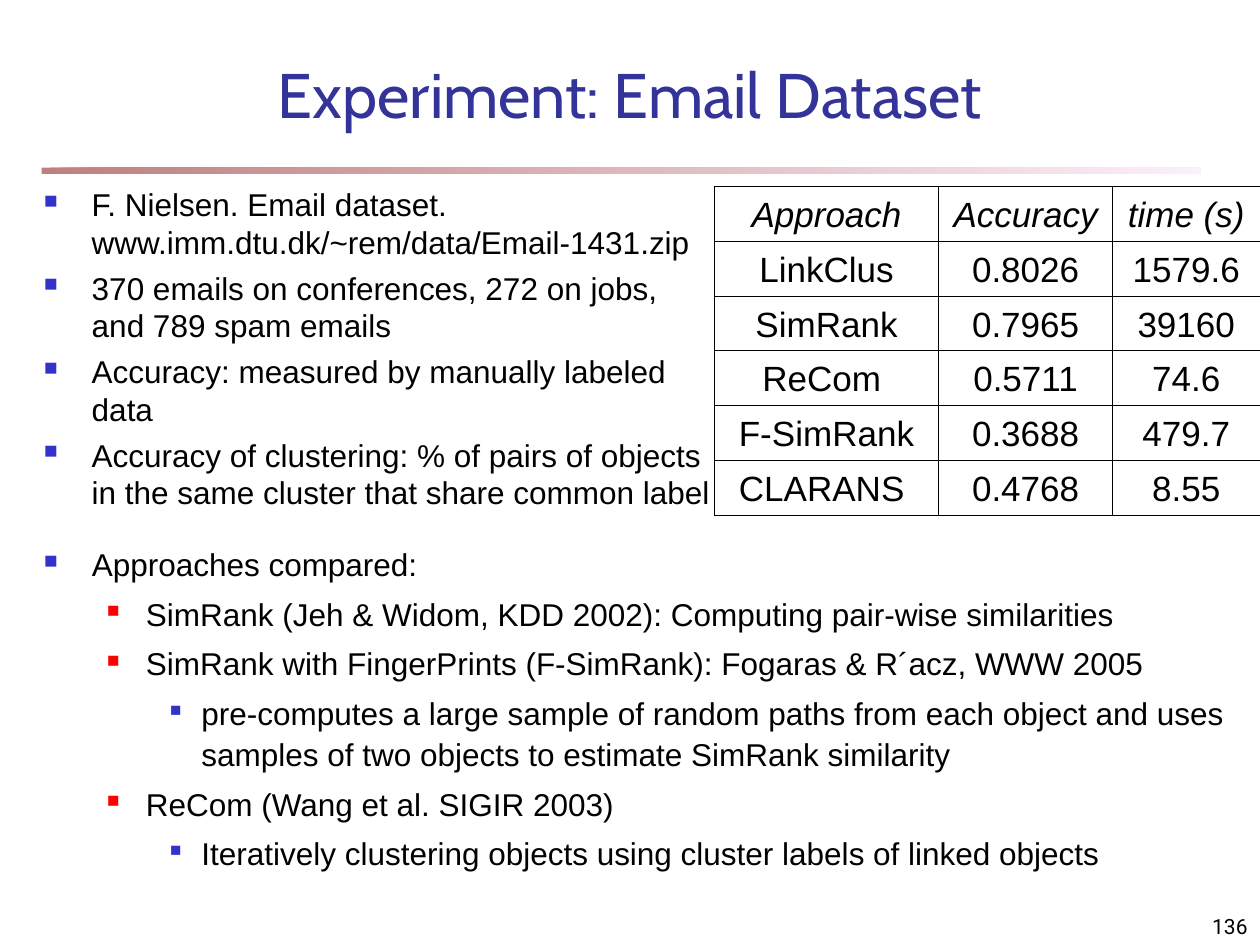
from lxml import etree
from pptx import Presentation
from pptx.dml.color import RGBColor
from pptx.enum.shapes import MSO_SHAPE
from pptx.enum.text import MSO_ANCHOR, PP_ALIGN
from pptx.oxml import parse_xml
from pptx.oxml.ns import nsdecls, qn
from pptx.util import Inches, Pt

CENTER, RIGHT = PP_ALIGN.CENTER, PP_ALIGN.RIGHT
TOP, BOTTOM = MSO_ANCHOR.TOP, MSO_ANCHOR.BOTTOM
RECT = MSO_SHAPE.RECTANGLE

TITLE = "Experiment: Email Dataset"
PAGE = "136"
DATASET = [
    (0, "F. Nielsen. Email dataset. www.imm.dtu.dk/~rem/data/Email-1431.zip"),
    (0, "370 emails on conferences, 272 on jobs, and 789 spam emails"),
    (0, "Accuracy: measured by manually labeled data"),
    (0, "Accuracy of clustering: % of pairs of objects in the same cluster "
        "that share common label"),
]
APPROACHES = [
    (0, "Approaches compared:"),
    (1, "SimRank (Jeh & Widom, KDD 2002): Computing pair-wise similarities"),
    (1, "SimRank with FingerPrints (F-SimRank): Fogaras & R´acz, WWW 2005"),
    (2, "pre-computes a large sample of random paths from each object and uses "
        "samples of two objects to estimate SimRank similarity"),
    (1, "ReCom (Wang et al. SIGIR 2003)"),
    (2, "Iteratively clustering objects using cluster labels of linked objects"),
]
RESULTS = [
    ("Approach", "Accuracy", "time (s)"),
    ("LinkClus", "0.8026", "1579.6"),
    ("SimRank", "0.7965", "39160"),
    ("ReCom ", "0.5711", "74.6"),
    ("F-SimRank", "0.3688", "479.7"),
    ("CLARANS ", "0.4768", "8.55"),
]
COLUMNS = (1.78, 1.38, 1.17)
ROW_HEIGHT = 0.435
# level: (left margin, hanging indent, bullet colour, bullet size in percent)
LEVELS = {
    0: (0.38, 0.38, "3333CC", 60),
    1: (0.81, 0.31, "FF0000", 55),
    2: (1.25, 0.25, "3333CC", 50),
}
TITLE_FONT = dict(name="Cabin", size=Pt(36), color="333399")
BODY_FONT = dict(name="Arial", size=Pt(18), color="000000")
CELL_FONT = dict(name="Arial", size=Pt(20), color="000000")
PAGE_FONT = dict(name="Roboto", size=Pt(12), color="000000")


def rgb(value):
    return RGBColor.from_string(value)


def set_font(font, color, **values):
    font.color.rgb = rgb(color)
    for key, value in values.items():
        setattr(font, key, value)


def set_indent(p, left, hanging):
    pPr = p._p.get_or_add_pPr()
    pPr.set("marL", str(Inches(left)))
    pPr.set("indent", str(-Inches(hanging)))
    return pPr


def add_bullet(p, level):
    left, hanging, color, percent = LEVELS[level]
    pPr = set_indent(p, left, hanging)
    bullet_color = etree.SubElement(pPr, qn("a:buClr"))
    etree.SubElement(bullet_color, qn("a:srgbClr"), val=color)
    etree.SubElement(pPr, qn("a:buSzPct"), val=str(percent * 1000))
    etree.SubElement(pPr, qn("a:buChar"), char="■")


def add_box(s, box, anchor):
    tf = s.shapes.add_textbox(*map(Inches, box)).text_frame
    tf.word_wrap = True
    tf.vertical_anchor = anchor
    return tf


def add_line(s, box, text, align, font):
    p = add_box(s, box, BOTTOM).paragraphs[0]
    p.alignment = align
    r = p.add_run()
    r.text = text
    set_font(r.font, **font)


def add_bullets(s, box, items, spacing):
    tf = add_box(s, box, TOP)
    for i, (level, text) in enumerate(items):
        p = tf.add_paragraph() if i else tf.paragraphs[0]
        p.level = level
        p.line_spacing = spacing
        p.space_before = Pt(4.5 if i else 0)
        add_bullet(p, level)
        r = p.add_run()
        r.text = text
        set_font(r.font, **BODY_FONT)


def add_rule(s):
    """Thin bar under the title, fading to the right."""
    bar = s.shapes.add_shape(RECT, *map(Inches, (0.33, 1.33, 9.2, 0.05)))
    bar.shadow.inherit = False
    bar.line.fill.background()
    bar.fill.gradient()
    bar.fill.gradient_angle = 0
    for stop, color, position in zip(bar.fill.gradient_stops,
                                     ("800000", "FAE2F6"), (0, 1)):
        stop.color.rgb = rgb(color)
        stop.position = position
    for color in bar._element.spPr.iter(qn("a:srgbClr")):
        etree.SubElement(color, qn("a:alpha"), val="50000")


def add_borders(cell):
    tcPr = cell._tc.get_or_add_tcPr()
    for i, side in enumerate(("lnL", "lnR", "lnT", "lnB")):
        tcPr.insert(i, parse_xml(
            f'<a:{side} {nsdecls("a")} w="{Pt(0.45)}"><a:solidFill>'
            f'<a:srgbClr val="000000"/></a:solidFill></a:{side}>'))


def add_results(s, left, top):
    size = (sum(COLUMNS), ROW_HEIGHT * len(RESULTS))
    table = s.shapes.add_table(len(RESULTS), len(COLUMNS),
                               *map(Inches, (left, top, *size))).table
    for column, width in zip(table.columns, COLUMNS):
        column.width = Inches(width)
    for i, row in enumerate(RESULTS):
        for j, text in enumerate(row):
            cell = table.cell(i, j)
            cell.fill.background()
            cell.vertical_anchor = BOTTOM
            add_borders(cell)
            p = cell.text_frame.paragraphs[0]
            p.alignment = CENTER
            set_indent(p, 0.38, 0.38)
            r = p.add_run()
            r.text = text
            set_font(r.font, italic=i == 0, bold=False, **CELL_FONT)


prs = Presentation()
prs.slide_width, prs.slide_height = Inches(10), Inches(7.5)
s = prs.slides.add_slide(prs.slide_layouts[6])
add_rule(s)
add_line(s, (0, 0.42, 10, 0.67), TITLE, CENTER, TITLE_FONT)
add_bullets(s, (0.25, 1.42, 5.5, 3.25), DATASET, 1.0)
add_results(s, 5.67, 1.48)
add_bullets(s, (0.25, 4.25, 9.58, 2.75), APPROACHES, 1.1)
add_line(s, (7.92, 7.08, 2.08, 0.42), PAGE, RIGHT, PAGE_FONT)
prs.save("out.pptx")
